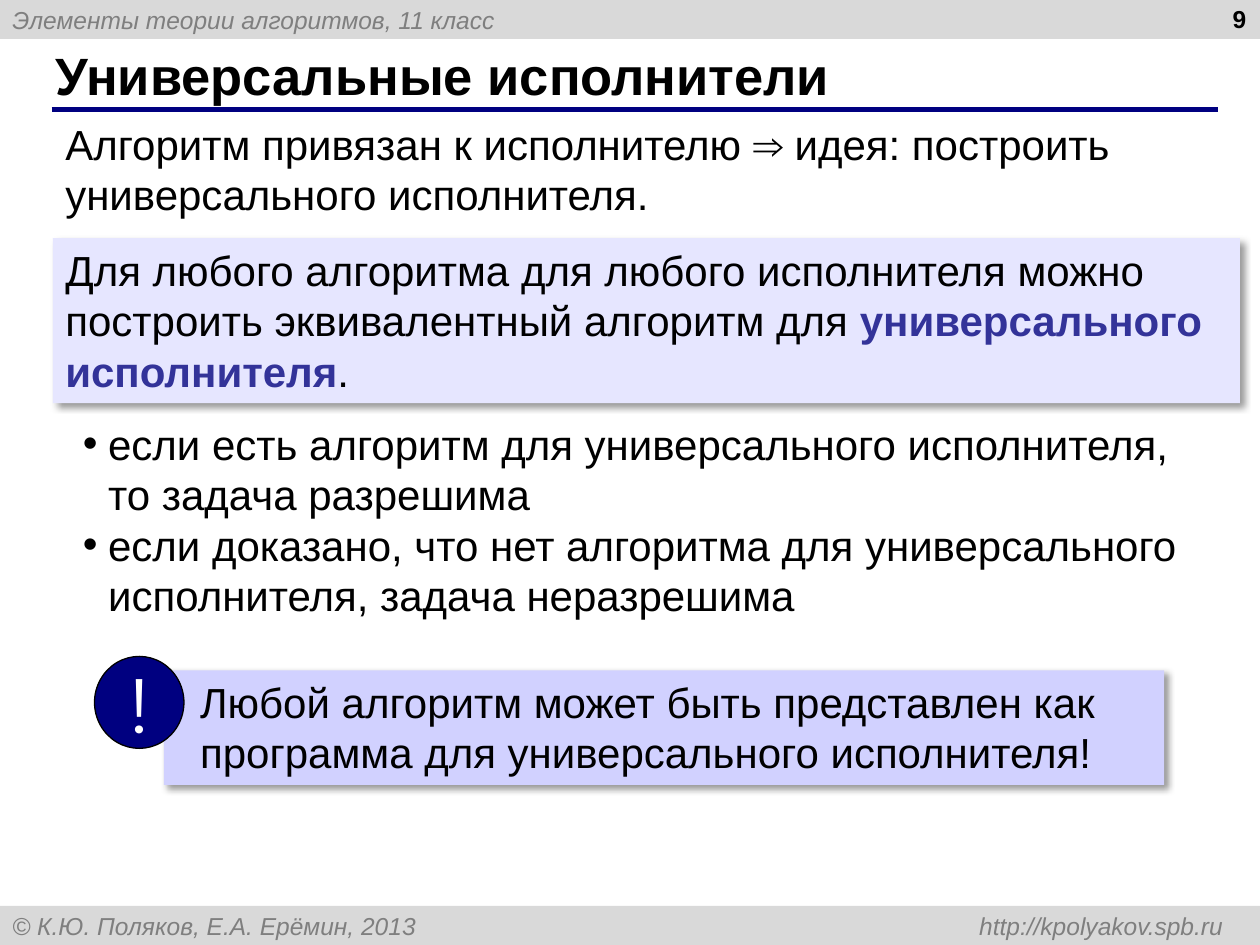
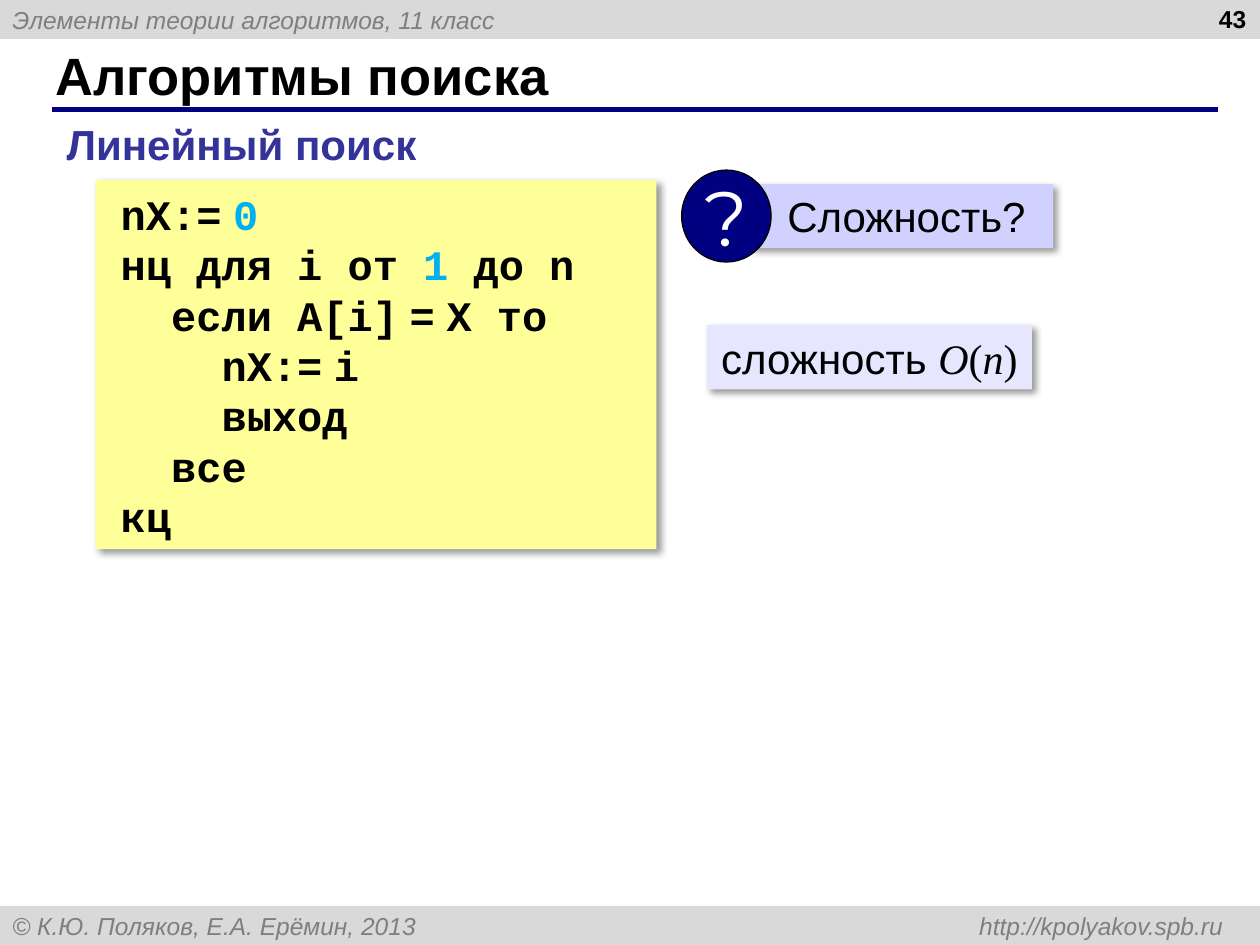
"""Build two lesson slides on universal executors and linear search."""
from lxml import etree
from pptx import Presentation
from pptx import util as u
from pptx.dml.color import RGBColor
from pptx.enum import shapes, text
from pptx.oxml import parse_xml
from pptx.oxml.ns import nsdecls, qn

COLORS = {
    "black": "000000", "white": "FFFFFF", "band": "D9D9D9", "band text": "7F7F7F",
    "navy": "000080", "term": "333399", "thesis": "E6E6FF", "callout": "D1D1FF",
    "code": "FFFF99", "number": "00B0F0",
}
RECTANGLE = shapes.MSO_SHAPE.RECTANGLE
OVAL = shapes.MSO_SHAPE.OVAL
MIDDLE = text.MSO_ANCHOR.MIDDLE
TOP = text.MSO_ANCHOR.TOP
LEFT, CENTER, RIGHT = text.PP_ALIGN.LEFT, text.PP_ALIGN.CENTER, text.PP_ALIGN.RIGHT


def write(shape, lines, size=24, font="Arial", color="black", bold=False, italic=False,
          anchor=TOP, align=LEFT, wrap=True):
    """Fill a shape with lines, each a list of (text, overrides) runs."""
    frame = shape.text_frame
    frame.word_wrap = wrap
    frame.auto_size = text.MSO_AUTO_SIZE.NONE
    frame.vertical_anchor = anchor
    for index, line in enumerate(lines):
        paragraph = frame.add_paragraph() if index else frame.paragraphs[0]
        paragraph.alignment = align
        for content, overrides in line:
            style = {"font": font, "color": color, "bold": bold, "italic": italic, **overrides}
            run = paragraph.add_run()
            run.text = content
            run.font.size = u.Pt(size)
            run.font.name = style["font"]
            run.font.bold = style["bold"]
            run.font.italic = style["italic"]
            run.font.color.rgb = RGBColor.from_string(COLORS[style["color"]])
    return frame.paragraphs


def add_panel(container, kind, position, fill, shadow=True):
    """Add a filled shape, with a soft shadow when asked."""
    shape = container.add_shape(kind, *map(u.Inches, position))
    shape.shadow.inherit = False
    shape.fill.solid()
    shape.fill.fore_color.rgb = RGBColor.from_string(COLORS[fill])
    shape.line.fill.background()
    if shadow:
        effects = shape._element.spPr.find(qn("a:effectLst"))
        effects.append(parse_xml(
            f'<a:outerShdw {nsdecls("a")} blurRad="{u.Pt(4)}" dist="{u.Pt(3)}" dir="2700000" '
            'algn="tl" rotWithShape="0"><a:srgbClr val="000000"><a:alpha val="40000"/>'
            '</a:srgbClr></a:outerShdw>'))
    return shape


presentation = Presentation()
presentation.slide_width = u.Inches(10)
presentation.slide_height = u.Inches(7.5)

for title, number in [("Универсальные исполнители", "9"), ("Алгоритмы поиска", "43")]:
    slide = presentation.slides.add_slide(presentation.slide_layouts[5])

    for top, label in [(0, "Элементы теории алгоритмов, 11 класс"),
                       (7.19, "© К.Ю. Поляков, Е.А. Ерёмин, 2013 \thttp://kpolyakov.spb.ru")]:
        band = add_panel(slide.shapes, RECTANGLE, (0, top, 10, 0.31), "band", shadow=False)
        paragraph = write(band, [[(label, {})]], size=14, color="band text", italic=True,
                          anchor=MIDDLE)[0]
        if "\t" in label:
            tabs = etree.SubElement(paragraph._p.get_or_add_pPr(), qn("a:tabLst"))
            etree.SubElement(tabs, qn("a:tab"), pos=str(u.Inches(9.61)), algn="r")

    rule = slide.shapes.add_connector(shapes.MSO_CONNECTOR.STRAIGHT, u.Inches(0.41),
                                      u.Inches(0.87), u.Inches(9.67), u.Inches(0.87))
    rule.line.color.rgb = RGBColor.from_string(COLORS["navy"])
    rule.line.width = u.Pt(3)
    etree.SubElement(rule._element.spPr, qn("a:effectLst"))

    heading = slide.shapes.title
    heading.left, heading.top = u.Inches(0.34), u.Inches(0.33)
    heading.width, heading.height = u.Inches(9.16), u.Inches(0.52)
    write(heading, [[(title, {})]], size=30, bold=True, anchor=MIDDLE)

    page_number = slide.shapes.add_textbox(*map(u.Inches, (7.66, -0.02, 2.33, 0.52)))
    write(page_number, [[(number, {})]], size=14, bold=True, align=RIGHT)

executors_slide, search_slide = presentation.slides

idea = executors_slide.shapes.add_textbox(*map(u.Inches, (0.42, 0.89, 9.44, 0.91)))
write(idea, [[("Алгоритм привязан к исполнителю ⇒ идея: построить "
               "универсального исполнителя.", {})]])

thesis = add_panel(executors_slide.shapes, RECTANGLE, (0.42, 1.89, 9.42, 1.31), "thesis")
write(thesis, [[
    ("Для любого алгоритма для любого исполнителя можно построить "
     "эквивалентный алгоритм для ", {}),
    ("универсального исполнителя", {"color": "term", "bold": True}),
    (".", {}),
]])

consequences = executors_slide.shapes.add_textbox(*map(u.Inches, (0.56, 3.27, 9.11, 1.72)))
for paragraph in write(consequences, [
    [("если есть алгоритм для универсального исполнителя, то задача разрешима", {})],
    [("если доказано, что нет алгоритма для универсального исполнителя, "
      "задача неразрешима", {})],
]):
    properties = paragraph._p.get_or_add_pPr()
    properties.set("marL", str(u.Inches(0.2)))
    properties.set("indent", str(u.Inches(-0.2)))
    etree.SubElement(properties, qn("a:buFont"), typeface="Arial")
    etree.SubElement(properties, qn("a:buChar"), char="•")

subtitle = search_slide.shapes.add_textbox(*map(u.Inches, (0.43, 0.89, 3.01, 0.5)))
write(subtitle, [[("Линейный поиск", {})]], color="term", bold=True, wrap=False)

number_style = {"color": "number"}
narrow_space = (" ", {"font": "Arial"})
code_lines = [
    (0, [("nX:=", {}), narrow_space, ("0", number_style)]),
    (0, [("нц для i от ", {}), ("1", number_style), (" до n", {})]),
    (1, [("если A[i]", {}), narrow_space, ("=", {}), narrow_space, ("X то", {})]),
    (2, [("nX:=", {}), narrow_space, ("i", {})]),
    (2, [("выход", {})]),
    (1, [("все", {})]),
    (0, [("кц", {})]),
]
code = add_panel(search_slide.shapes, RECTANGLE, (0.76, 1.43, 4.45, 2.93), "code")
code_paragraphs = write(code, [runs for level, runs in code_lines], font="Courier New",
                        bold=True, anchor=MIDDLE)
for paragraph, (level, runs) in zip(code_paragraphs, code_lines):
    paragraph._p.get_or_add_pPr().set("indent", str(u.Inches(0.1 + 0.4 * level)))

math_style = {"font": "Times New Roman"}
variable_style = {**math_style, "italic": True}
complexity = add_panel(search_slide.shapes, RECTANGLE, (5.61, 2.58, 2.58, 0.51), "thesis")
write(complexity, [[("сложность ", {}), ("O", variable_style), ("(", math_style),
                    ("n", variable_style), (")", math_style)]],
      anchor=MIDDLE, align=CENTER, wrap=False)

for slide, sign, message, left, top, width, height in [
    (executors_slide, "!", "Любой алгоритм может быть представлен как программа "
     "для универсального исполнителя!", 1.3, 5.32, 7.94, 0.91),
    (search_slide, "?", "Сложность?", 5.96, 1.46, 2.4, 0.51),
]:
    callout = slide.shapes.add_group_shape().shapes
    panel = add_panel(callout, RECTANGLE, (left, top, width, height), "callout")
    paragraph = write(panel, [[(message, {})]])[0]
    paragraph._p.get_or_add_pPr().set("marL", str(u.Inches(0.19)))
    badge = add_panel(callout, OVAL, (left - 0.55, top - 0.11, 0.71, 0.73), "navy",
                      shadow=False)
    badge.line.color.rgb = RGBColor.from_string(COLORS["black"])
    badge.line.width = u.Pt(0.75)
    write(badge, [[(sign, {})]], size=44, font="Montserrat", color="white",
          anchor=MIDDLE, align=CENTER, wrap=False)

presentation.save("out.pptx")
